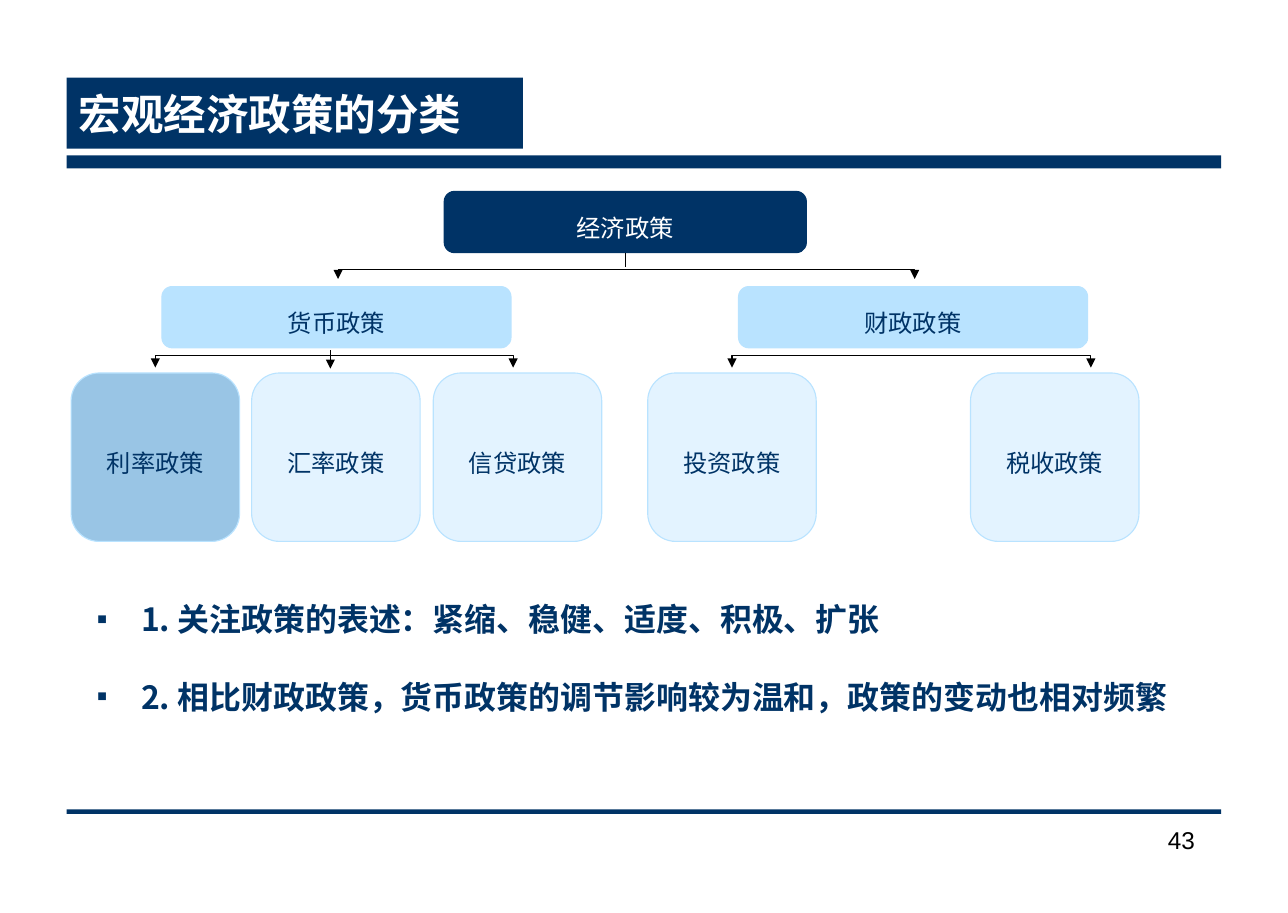
from lxml.etree import SubElement
from pptx import Presentation
from pptx.dml.color import RGBColor
from pptx.enum.shapes import MSO_CONNECTOR, MSO_SHAPE
from pptx.enum.text import MSO_ANCHOR, MSO_AUTO_SIZE, PP_ALIGN
from pptx.oxml.ns import qn
from pptx.util import Cm, Inches, Pt

# Content
TITLE = "宏观经济政策的分类"
PAGE_NUMBER = "43"
POINTS = [
    "1. 关注政策的表述：紧缩、稳健、适度、积极、扩张",
    "2. 相比财政政策，货币政策的调节影响较为温和，政策的变动也相对频繁",
]
NAVY, SKY, BLUE, WHITE, BLACK = "003366", "B9E3FF", "0070C0", "FFFFFF", "000000"
CJK = "Noto Sans CJK SC"
ROOT = ("经济政策", 4.06)
# Branch: name, left, then its leaves as name, left, fill
BRANCHES = [
    ("货币政策", 1.48, [("利率政策", 0.65, BLUE), ("汇率政策", 2.3, SKY),
                    ("信贷政策", 3.96, SKY)]),
    ("财政政策", 6.75, [("投资政策", 5.92, SKY), ("税收政策", 8.87, SKY)]),
]

# Grid, in inches
MARGIN, RULE_WIDTH = 0.61, 10.55
ROOT_TOP, BRANCH_TOP, LEAF_TOP = 1.75, 2.62, 3.41
ROOT_WIDTH, BRANCH_WIDTH, BAR_HEIGHT, LEAF_SIZE = 3.31, 3.19, 0.56, 1.54
# Fork: left, right, height of the bar, height of the arrow tips
FORKS = [(3.09, 8.36, 2.46, 2.55), (1.42, 4.69, 3.25, 3.36), (6.69, 9.97, 3.25, 3.36)]

presentation = Presentation()
presentation.slide_width = Cm(29.9)
presentation.slide_height = Cm(21.2)
slide = presentation.slides.add_slide(presentation.slide_layouts[1])
shapes = slide.shapes


def color(value):
    return RGBColor.from_string(value)


def paint(shape, fill, line=None, opacity=None):
    shape.shadow.inherit = False
    shape.fill.solid()
    shape.fill.fore_color.rgb = color(fill)
    if opacity:
        solid = shape._element.spPr.find(qn("a:solidFill"))
        SubElement(solid[0], qn("a:alpha"), val=str(opacity * 1000))
    if line:
        shape.line.color.rgb = color(line)
        shape.line.width = Pt(0.75)
    else:
        shape.line.fill.background()


def place(shape, left, top, width, height):
    shape.left, shape.top = Inches(left), Inches(top)
    shape.width, shape.height = Inches(width), Inches(height)


def set_margins(frame, side, edge):
    frame.margin_left = frame.margin_right = Inches(side)
    frame.margin_top = frame.margin_bottom = Inches(edge)


def style(paragraph, size, ink, font=CJK, bold=False):
    for run in paragraph.runs:
        run.font.size, run.font.bold, run.font.name = Pt(size), bold, font
        run.font.color.rgb = color(ink)
        SubElement(run._r.get_or_add_rPr(), qn("a:ea"), typeface=CJK)


def add_rule(top, height):
    rule = shapes.add_shape(MSO_SHAPE.RECTANGLE, Inches(MARGIN), Inches(top),
                            Inches(RULE_WIDTH), Inches(height))
    paint(rule, NAVY)


def add_policy(name, left, top, width, height, fill, line, ink, opacity=None):
    box = shapes.add_shape(MSO_SHAPE.FLOWCHART_ALTERNATE_PROCESS, Inches(left),
                           Inches(top), Inches(width), Inches(height))
    paint(box, fill, line, opacity)
    frame = box.text_frame
    frame.word_wrap = False
    frame.vertical_anchor = MSO_ANCHOR.MIDDLE
    frame.text = name
    paragraph = frame.paragraphs[0]
    paragraph.alignment, paragraph.line_spacing = PP_ALIGN.CENTER, 1.4
    style(paragraph, 16, ink)
    return box


def draw_line(shape, *arrow_ends):
    shape.line.color.rgb = color(BLACK)
    shape.line.width = Pt(0.75)
    for end in arrow_ends:
        SubElement(shape.line._get_or_add_ln(), qn(f"a:{end}"), type="triangle")


def add_stem(x, top, bottom, *arrow_ends):
    stem = shapes.add_connector(MSO_CONNECTOR.STRAIGHT, Inches(x), Inches(top),
                                Inches(x), Inches(bottom))
    draw_line(stem, *arrow_ends)
    SubElement(stem._element.spPr, qn("a:effectLst"))
    return stem


def add_fork(left, right, bar, tip):
    builder = shapes.build_freeform(Inches(left), Inches(tip))
    corners = [(left, bar), (right, bar), (right, tip)]
    builder.add_line_segments([(Inches(x), Inches(y)) for x, y in corners], close=False)
    fork = builder.convert_to_shape()
    fork.shadow.inherit = False
    fork.fill.background()
    draw_line(fork, "headEnd", "tailEnd")


# Rules and title
add_rule(1.42, 0.12)
add_rule(7.4, 0.04)
title = shapes.title
place(title, MARGIN, 0.71, 4.17, 0.65)
paint(title, NAVY)
frame = title.text_frame
frame.text = TITLE
frame.auto_size = MSO_AUTO_SIZE.NONE
frame.vertical_anchor = MSO_ANCHOR.MIDDLE
set_margins(frame, 0.11, 0.06)
frame.paragraphs[0].alignment = PP_ALIGN.LEFT
style(frame.paragraphs[0], 28, WHITE, "Arial", True)

# Policy tree
root = add_policy(*ROOT, ROOT_TOP, ROOT_WIDTH, BAR_HEIGHT, NAVY, NAVY, WHITE)
for branch, branch_left, leaves in BRANCHES:
    add_policy(branch, branch_left, BRANCH_TOP, BRANCH_WIDTH, BAR_HEIGHT, SKY, SKY, NAVY)
    for leaf, leaf_left, leaf_fill in leaves:
        add_policy(leaf, leaf_left, LEAF_TOP, LEAF_SIZE, LEAF_SIZE, leaf_fill, SKY, NAVY, 40)
for fork_ends in FORKS:
    add_fork(*fork_ends)
add_stem(ROOT[1] + ROOT_WIDTH / 2, ROOT_TOP + BAR_HEIGHT, 2.44).begin_connect(root, 2)
add_stem(3.02, 3.2, 3.37, "tailEnd")

# Points
body = slide.placeholders[1]
place(body, 0.69, 5.35, 10.28, 1.25)
frame = body.text_frame
frame.text = "\n".join(POINTS)
frame.auto_size = MSO_AUTO_SIZE.NONE
frame.vertical_anchor = MSO_ANCHOR.TOP
set_margins(frame, 0.11, 0.06)
for index, paragraph in enumerate(frame.paragraphs):
    paragraph.line_spacing = 1.2
    paragraph.space_before = Pt(21 if index else 0)
    properties = paragraph._p.get_or_add_pPr()
    properties.set("marL", str(Inches(0.49)))
    properties.set("indent", str(Inches(-0.4)))
    bullet_color = SubElement(properties, qn("a:buClr"))
    SubElement(bullet_color, qn("a:srgbClr"), val=NAVY)
    SubElement(properties, qn("a:buSzPct"), val="50000")
    SubElement(properties, qn("a:buFont"), typeface="Arial")
    SubElement(properties, qn("a:buChar"), char="■")
    style(paragraph, 21, NAVY, CJK, True)

# Page number
number = shapes.add_textbox(Inches(10.14), Inches(7.48), Inches(0.89), Inches(0.58))
frame = number.text_frame
frame.word_wrap = True
frame.text = PAGE_NUMBER
set_margins(frame, 0.11, 0.06)
frame.paragraphs[0].alignment = PP_ALIGN.RIGHT
style(frame.paragraphs[0], 16, BLACK, "Arial")

presentation.save("out.pptx")
